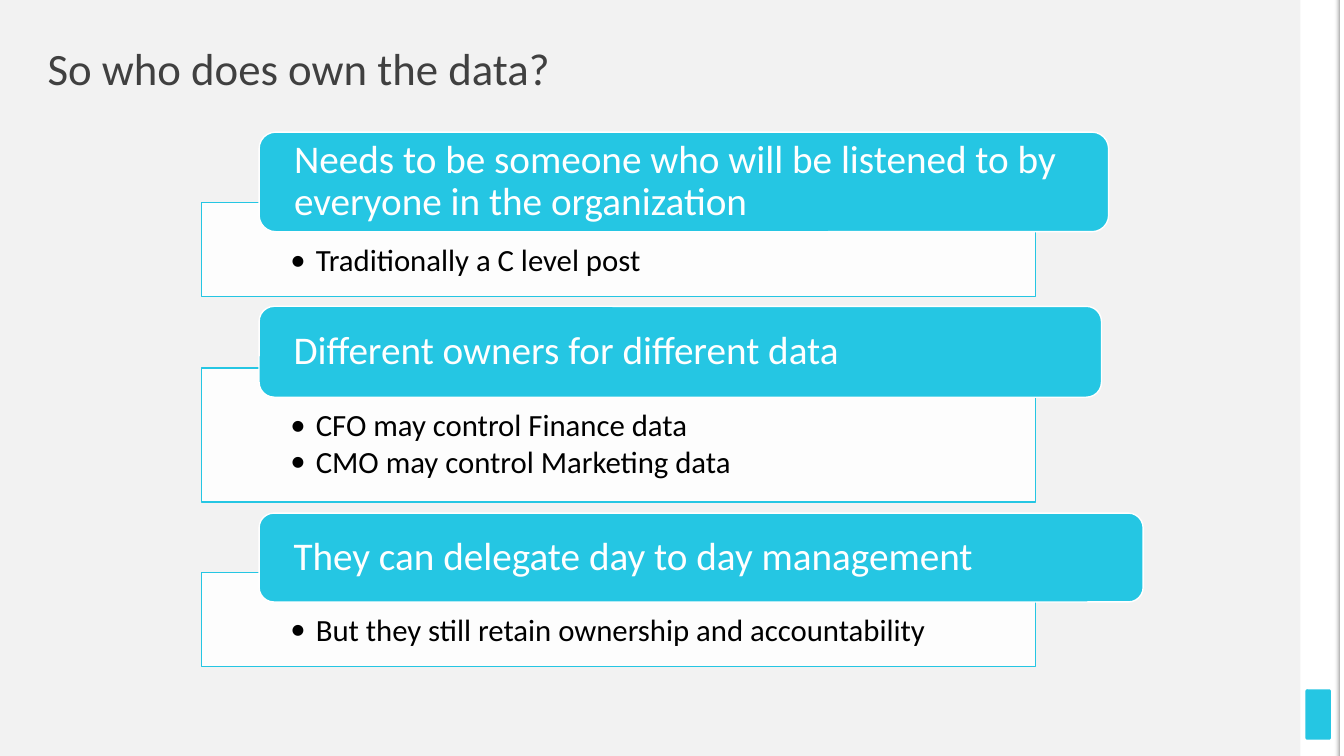
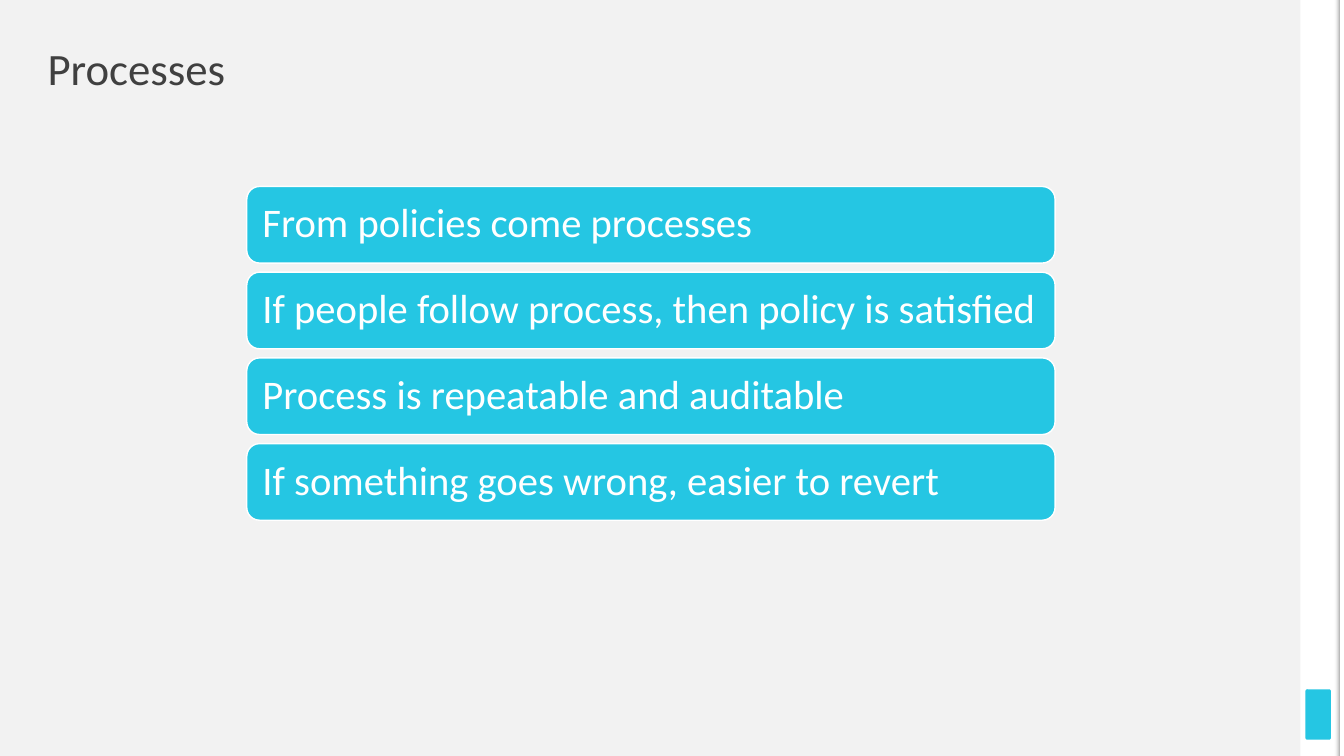
from dataclasses import dataclass

from lxml import etree
from pptx import Presentation
from pptx.dml.color import RGBColor
from pptx.enum.shapes import MSO_SHAPE
from pptx.enum.text import MSO_ANCHOR, PP_ALIGN
from pptx.oxml.ns import qn
from pptx.util import Cm, Pt

RECTANGLE = MSO_SHAPE.RECTANGLE
ROUNDED = MSO_SHAPE.ROUNDED_RECTANGLE
TOP = MSO_ANCHOR.TOP
MIDDLE = MSO_ANCHOR.MIDDLE
LEFT = PP_ALIGN.LEFT


@dataclass(frozen=True)
class Theme:
    font: str = "Calibri"
    background: RGBColor = RGBColor(0xF2, 0xF2, 0xF2)
    accent: RGBColor = RGBColor(0x25, 0xC6, 0xE3)
    white: RGBColor = RGBColor(0xFF, 0xFF, 0xFF)
    shade: RGBColor = RGBColor(0xA6, 0xA6, 0xA6)
    title: RGBColor = RGBColor(0x40, 0x40, 0x40)
    body: RGBColor = RGBColor(0, 0, 0)
    title_size: int = 32
    heading_size: int = 28
    step_size: int = 29
    detail_size: int = 22


THEME = Theme()

OWNERSHIP = [
    ("Needs to be someone who will be listened to by everyone in the organization",
     (3.33, 21.41, 2.51), ["Traditionally a C level post"], (5.11, 2.36)),
    ("Different owners for different data",
     (7.72, 21.23, 2.29),
     ["CFO may control Finance data", "CMO may control Marketing data"], (9.27, 3.38)),
    ("They can delegate day to day management",
     (12.93, 22.28, 2.24),
     ["But they still retain ownership and accountability"], (14.43, 2.36)),
]

STEPS = [
    "From policies come processes",
    "If people follow process, then policy is satisfied",
    "Process is repeatable and auditable",
    "If something goes wrong, easier to revert",
]


def apply(target, values):
    for name, value in values.items():
        setattr(target, name, value)


def set_opacity(shape, percent):
    colour = next(shape._element.spPr.iter(qn("a:srgbClr")))
    etree.SubElement(colour, qn("a:alpha"), val=str(percent * 1000))


def add_bullet(paragraph):
    properties = paragraph._p.get_or_add_pPr()
    indent = Cm(0.64)
    properties.set("marL", str(indent))
    properties.set("indent", str(-indent))
    etree.SubElement(properties, qn("a:buFont"), typeface=THEME.font)
    etree.SubElement(properties, qn("a:buChar"), char="•")


def add_panel(slide, kind, box, fill, line=None):
    panel = slide.shapes.add_shape(kind, *map(Cm, box))
    panel.shadow.inherit = False
    panel.fill.solid()
    panel.fill.fore_color.rgb = fill
    if line is None:
        panel.line.fill.background()
    else:
        panel.line.color.rgb = line
        panel.line.width = Pt(1)
    return panel


def write(shape, lines, size, colour, insets=(0, 0, 0, 0), anchor=MIDDLE, bullets=False):
    frame = shape.text_frame
    left, top, right, bottom = map(Cm, insets)
    apply(frame, {
        "word_wrap": True, "vertical_anchor": anchor,
        "margin_left": left, "margin_top": top,
        "margin_right": right, "margin_bottom": bottom,
    })
    for index, line in enumerate(lines):
        paragraph = frame.add_paragraph() if index else frame.paragraphs[0]
        apply(paragraph, {"alignment": LEFT, "line_spacing": 0.9})
        if bullets:
            paragraph.space_after = Pt(2.5)
            add_bullet(paragraph)
        run = paragraph.add_run()
        run.text = line
        apply(run.font, {"name": THEME.font, "size": Pt(size)})
        run.font.color.rgb = colour


def add_side_band(slide):
    add_panel(slide, RECTANGLE, (32.77, 0, 0.99, 19.05), THEME.white)
    marker = add_panel(slide, ROUNDED, (32.9, 17.37, 0.64, 1.27), THEME.accent)
    marker.adjustments[0] = 0.07
    add_panel(slide, RECTANGLE, (33.74, 0, 0.13, 19.05), THEME.white)
    edge = add_panel(slide, RECTANGLE, (33.62, 0, 0.13, 19.05), THEME.shade)
    edge.fill.gradient()
    edge.fill.gradient_angle = 0
    for stop, colour in zip(edge.fill.gradient_stops, (THEME.background, THEME.shade)):
        stop.color.rgb = colour
    set_opacity(edge, 0)


def add_titled_slide(deck, title):
    slide = deck.slides.add_slide(deck.slide_layouts[6])
    slide.background.fill.solid()
    slide.background.fill.fore_color.rgb = THEME.background
    add_side_band(slide)
    heading = slide.shapes.add_textbox(*map(Cm, (1.2, 1.19, 15.19, 1.19)))
    write(heading, [title], THEME.title_size, THEME.title)
    return slide


def add_bar(slide, box, text, size, inset):
    bar = add_panel(slide, ROUNDED, box, THEME.accent, THEME.white)
    write(bar, [text], size, THEME.white, (inset, 0, inset, 0))


def add_details(slide, box, lines):
    details = add_panel(slide, RECTANGLE, box, THEME.white, THEME.accent)
    set_opacity(details, 90)
    write(details, lines, THEME.detail_size, THEME.body,
          (2.24, 1.06, 2.24, 0.43), TOP, bullets=True)


def build_ownership(deck):
    slide = add_titled_slide(deck, "So who does own the data?")
    for heading, (top, width, height), details, (detail_top, detail_height) in OWNERSHIP:
        add_details(slide, (5.08, detail_top, 21.01, detail_height), details)
        add_bar(slide, (6.53, top, width, height), heading, THEME.heading_size, 0.76)


def build_processes(deck):
    slide = add_titled_slide(deck, "Processes")
    for row, step in enumerate(STEPS):
        add_bar(slide, (6.22, 4.7 + row * 2.16, 20.37, 1.93), step, THEME.step_size, 0.3)


def main():
    deck = Presentation()
    apply(deck, {"slide_width": Cm(33.87), "slide_height": Cm(19.05)})
    build_ownership(deck)
    build_processes(deck)
    deck.save("out.pptx")


if __name__ == "__main__":
    main()
